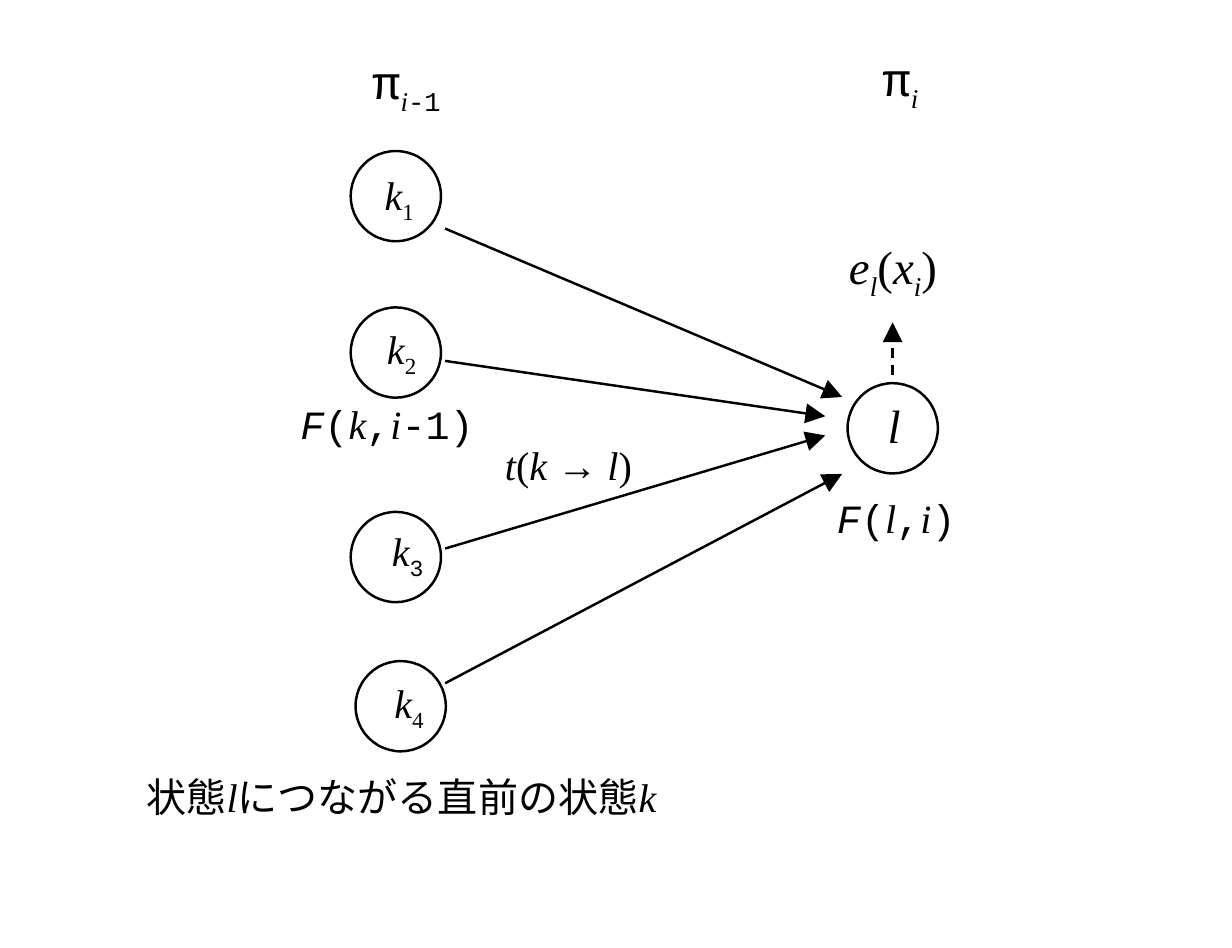
import lxml.etree
import pptx
import pptx.dml.color
import pptx.enum.dml
import pptx.enum.shapes
import pptx.enum.text
import pptx.oxml.ns
import pptx.util

COLUMNS, ROWS = 512, 394
CELL = pptx.util.Inches(0.01)
INK, PAPER = "000000", "FFFFFF"
CIRCLE = 37.5
SLACK = 6

STYLES = {
    "math": {"name": "Times New Roman", "italic": True},
    "plain": {"name": "Times New Roman", "italic": False},
    "mono": {"name": "Courier New", "italic": False},
    "slanted": {"name": "Courier New", "italic": True},
}

PREVIOUS_STATES = [
    ("1", "plain", (164.5, 81.5), (150, 66), (185, 95), (350, 165)),
    ("2", "plain", (164.5, 146.5), (151, 130), (185, 150), (343, 173)),
    ("3", "mono", (164.5, 231.5), (153, 214), (185, 228), (343, 181)),
    ("4", "plain", (166.5, 293.5), (154, 277), (185, 284), (350, 197)),
]
NEXT_STATE = (371, 178)
EMISSION = ((371, 156), (371, 134))

LABELS = [
    ((359, 160, 25, 34), 14, [("l", "math")]),
    ((200, 178, 73, 30), 12, [("t", "math"), ("(", "plain"), ("k ", "math"),
                              ("→ ", "plain"), ("l", "math"), (")", "plain")]),
    ((343, 94, 56, 37), 14, [("e", "math"), ("l", "math", "sub"), ("(", "plain"),
                             ("x", "math"), ("i", "math", "sub"), (")", "plain")]),
    ((51, 316, 244, 30), 12, [("状態", "mono"), ("l", "math"),
                              ("につながる直前の状態", "mono"), ("k", "math")]),
    ((145, 17, 48, 37), 14, [("π", "mono"), ("i", "math", "sub"), ("-1", "mono", "sub")]),
    ((357, 16, 35, 37), 14, [("π", "mono"), ("i", "math", "sub")]),
    ((115, 161, 92, 30), 12, [("F", "slanted"), ("(", "mono"), ("k", "math"),
                              (",", "mono"), ("i", "math"), ("-1)", "mono")]),
    ((338, 200, 69, 30), 12, [("F", "slanted"), ("(", "mono"), ("l", "math"),
                              (",", "mono"), ("i", "math"), (")", "mono")]),
]


def color(value):
    return pptx.dml.color.RGBColor.from_string(value)


def cells(*values):
    return [round(value * CELL) for value in values]


def set_values(target, values):
    for name, value in values.items():
        setattr(target, name, value)


def draw_line(line):
    line.color.rgb = color(INK)
    line.width = pptx.util.Pt(0.75)


def add_state(slide, center):
    left, top = (value - CIRCLE / 2 for value in center)
    shape = slide.shapes.add_shape(
        pptx.enum.shapes.MSO_SHAPE.OVAL, *cells(left, top, CIRCLE, CIRCLE))
    shape.shadow.inherit = False
    shape.fill.solid()
    shape.fill.fore_color.rgb = color(PAPER)
    draw_line(shape.line)


def add_arrow(slide, start, end, dashed=False):
    arrow = slide.shapes.add_connector(
        pptx.enum.shapes.MSO_CONNECTOR.STRAIGHT, *cells(*start, *end))
    draw_line(arrow.line)
    if dashed:
        arrow.line.dash_style = pptx.enum.dml.MSO_LINE.DASH
    head = lxml.etree.SubElement(
        arrow.line._get_or_add_ln(), pptx.oxml.ns.qn("a:tailEnd"))
    head.set("type", "triangle")
    lxml.etree.SubElement(arrow._element.spPr, pptx.oxml.ns.qn("a:effectLst"))


def add_label(slide, box, size, pieces):
    left, top, width, height = box
    frame = slide.shapes.add_textbox(
        *cells(left, top, width + SLACK, height)).text_frame
    set_values(frame, {
        "word_wrap": True,
        "auto_size": pptx.enum.text.MSO_AUTO_SIZE.NONE,
    })
    paragraph = frame.paragraphs[0]
    for text, style, *position in pieces:
        run = paragraph.add_run()
        run.text = text
        set_values(run.font, {**STYLES[style], "size": pptx.util.Pt(size)})
        run.font.color.rgb = color(INK)
        if position:
            run._r.get_or_add_rPr().set("baseline", "-25000")


def main():
    presentation = pptx.Presentation()
    presentation.slide_width, presentation.slide_height = cells(COLUMNS, ROWS)
    slide = presentation.slides.add_slide(presentation.slide_layouts[6])

    add_state(slide, NEXT_STATE)
    for number, style, center, corner, start, end in PREVIOUS_STATES:
        add_state(slide, center)
        add_arrow(slide, start, end)
        add_label(slide, (*corner, 32, 33), 12,
                  [("k", "math"), (number, style, "sub")])
    add_arrow(slide, *EMISSION, dashed=True)
    for box, size, pieces in LABELS:
        add_label(slide, box, size, pieces)

    presentation.save("out.pptx")


if __name__ == "__main__":
    main()
